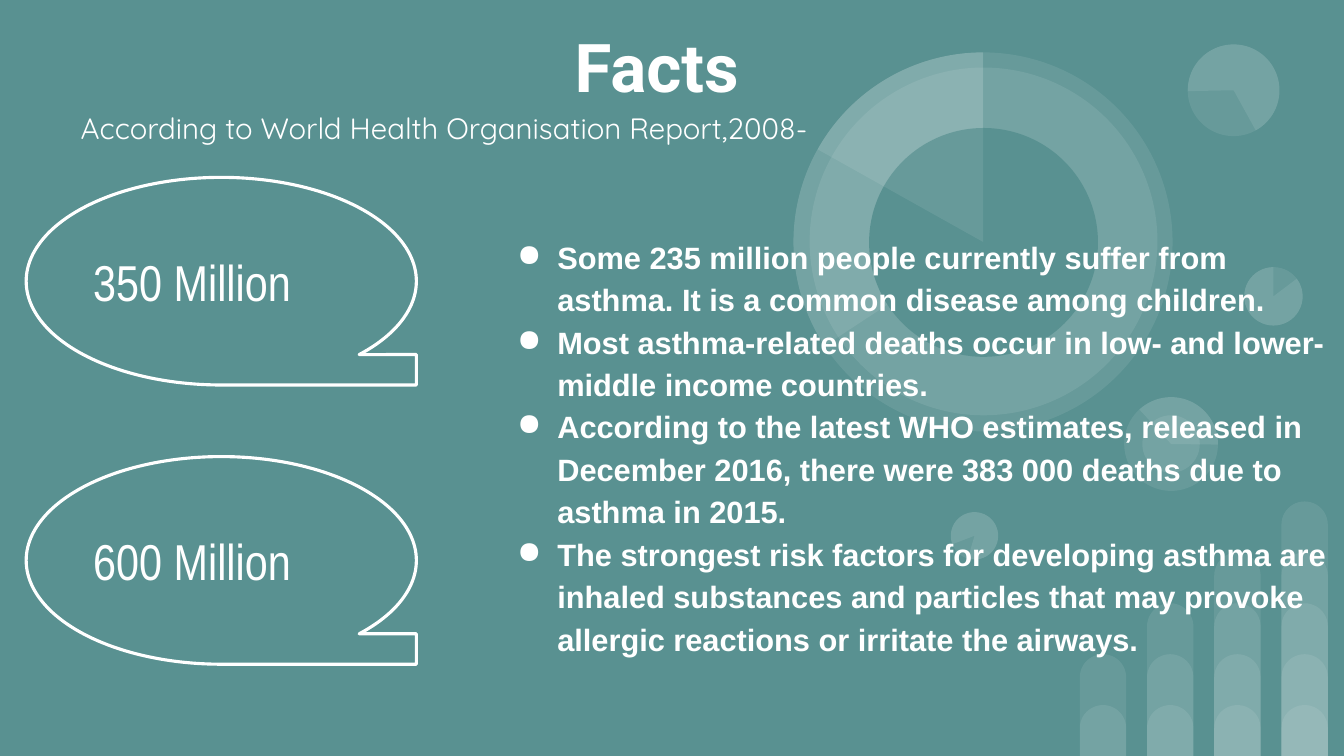
"""Builds the asthma facts slide with its translucent chart decorations."""
import pptx
import pptx.util
import pptx.dml.color
import pptx.enum.shapes
import pptx.enum.text
import lxml.etree
from pptx.util import Inches

COLORS = {"teal": "599191", "white": "FFFFFF"}
SHAPES = pptx.enum.shapes.MSO_SHAPE
ANCHORS = pptx.enum.text.MSO_ANCHOR
LEFT = pptx.enum.text.PP_ALIGN.LEFT
WHITE = pptx.dml.color.RGBColor.from_string(COLORS["white"])
TEAL = pptx.dml.color.RGBColor.from_string(COLORS["teal"])

deck = pptx.Presentation()
deck.slide_width, deck.slide_height = Inches(13.33), Inches(7.5)
page = deck.slides.add_slide(deck.slide_layouts[5])
page.background.fill.solid()
page.background.fill.fore_color.rgb = TEAL


def add_decoration(kind, left, top, width, height, angles=(), rotation=0, color=WHITE):
    """Add a borderless shape; white ones are nearly transparent."""
    shape = page.shapes.add_shape(kind, Inches(left), Inches(top), Inches(width), Inches(height))
    shape.shadow.inherit = False
    shape.rotation = rotation
    shape.line.fill.background()
    shape.fill.solid()
    shape.fill.fore_color.rgb = color
    for index, angle in enumerate(angles):
        shape.adjustments[index] = angle
    if color == WHITE:
        tint = shape.fill._xPr.find(".//" + pptx.oxml.ns.qn("a:srgbClr"))
        lxml.etree.SubElement(tint, pptx.oxml.ns.qn("a:alpha"), val="9000")


def write_text(frame, para, text, size, font, inset, bold=False):
    """Write one white run into a paragraph and set the frame's insets."""
    frame.word_wrap = True
    frame.margin_left = frame.margin_right = Inches(inset)
    frame.margin_top = frame.margin_bottom = Inches(inset)
    para.alignment = LEFT
    span = para.add_run()
    span.text = text
    span.font.size = pptx.util.Pt(size)
    span.font.name = font
    span.font.bold = bold
    span.font.color.rgb = WHITE


for column in range(4):
    for step in range(1, column + 3):
        height = 0.505 * step
        add_decoration(SHAPES.ROUND_2_SAME_RECTANGLE, 10.71 + column * 2 / 3, 7.5 - height,
                       0.46, height, (0.5, 0))

DISCS = [
    (12.34, 2.65, 0.58, 0, (193.77, 162)),
    (9.43, 5.08, 0.47, 196.2, (193.77, 162)),
    (11.15, 3.94, 0.93, 90, (82.45, 162.46)),
    (11.78, 0.44, 0.91, 215.9, (193.77, 123.14)),
    (7.87, 0.52, 3.76, 0, (88.01, 162)),
]
for left, top, size, rotation, angles in DISCS:
    add_decoration(SHAPES.OVAL, left, top, size, size, (), rotation)
    add_decoration(SHAPES.PIE, left, top, size, size, angles, rotation)
add_decoration(SHAPES.OVAL, 11.33, 4.12, 0.57, 0.57)
add_decoration(SHAPES.OVAL, 8.03, 0.67, 3.45, 3.45)
add_decoration(SHAPES.OVAL, 8.62, 1.27, 2.27, 2.27, color=TEAL)
add_decoration(SHAPES.PIE, 7.87, 0.52, 3.76, 3.76, (125.54, 162))

title = page.shapes.title
title.left, title.top = Inches(5.57), Inches(0.14)
title.width, title.height = Inches(2.19), Inches(1.02)
title.text_frame.vertical_anchor = ANCHORS.MIDDLE
write_text(title.text_frame, title.text_frame.paragraphs[0], "Facts", 48, "Roboto", 0.13, True)

subtitle = page.shapes.add_textbox(Inches(0.67), Inches(0.96), Inches(11.99), Inches(0.63))
write_text(subtitle.text_frame, subtitle.text_frame.paragraphs[0],
           "According to World Health Organisation Report,2008-", 21, "Quicksand", 0.13)

for top, figure in [(1.76, "350 Million"), (4.53, "600 Million")]:
    bubble = page.shapes.add_shape(SHAPES.FLOWCHART_SEQUENTIAL_ACCESS_STORAGE,
                                   Inches(0.26), Inches(top), Inches(3.87), Inches(2.06))
    bubble.shadow.inherit = False
    bubble.fill.background()
    bubble.line.color.rgb = WHITE
    bubble.line.width = pptx.util.Pt(2.25)
    bubble.text_frame.vertical_anchor = ANCHORS.MIDDLE
    write_text(bubble.text_frame, bubble.text_frame.paragraphs[0], figure, 36, "Arial Narrow", 0.1)

FACTS = [
    "Some 235 million people currently suffer from asthma. It is a common disease among children.",
    "Most asthma-related deaths occur in low- and lower-middle income countries.",
    "According to the latest WHO estimates, released in December 2016, there were 383 000 deaths "
    "due to asthma in 2015.",
    "The strongest risk factors for developing asthma are inhaled substances and particles that "
    "may provoke allergic reactions or irritate the airways.",
]
facts_box = page.shapes.add_textbox(Inches(4.93), Inches(2.21), Inches(8.4), Inches(4.38))
for index, fact in enumerate(FACTS):
    frame = facts_box.text_frame
    para = frame.add_paragraph() if index else frame.paragraphs[0]
    para.line_spacing = 1.15
    para.space_before = pptx.util.Pt(0 if index else 12)
    write_text(frame, para, fact, 22, "Arial", 0.1, True)
    properties = para._p.get_or_add_pPr()
    properties.set("marL", str(Inches(0.5)))
    properties.set("indent", str(Inches(-0.4)))
    bullet_color = lxml.etree.SubElement(properties, pptx.oxml.ns.qn("a:buClr"))
    lxml.etree.SubElement(bullet_color, pptx.oxml.ns.qn("a:srgbClr"), val=COLORS["white"])
    lxml.etree.SubElement(properties, pptx.oxml.ns.qn("a:buChar"), char="●")

deck.save("out.pptx")
